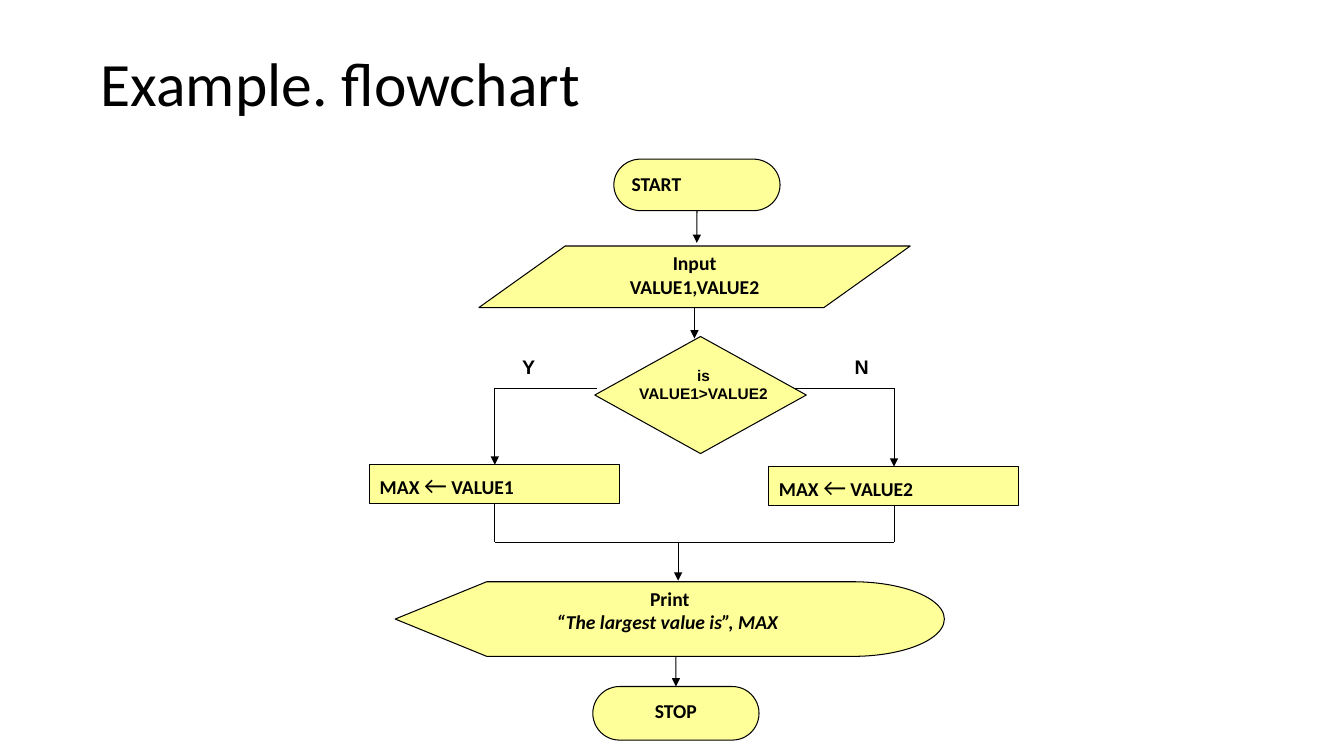
from lxml.etree import SubElement
from pptx import Presentation
from pptx.dml.color import RGBColor
from pptx.enum.shapes import MSO_CONNECTOR, MSO_SHAPE
from pptx.enum.text import MSO_ANCHOR, PP_ALIGN
from pptx.oxml.ns import qn
from pptx.util import Cm, Pt

COLORS = {"ink": "000000", "box": "FFFF99"}
LABEL = {"size": Pt(14), "name": "Calibri", "bold": True}
BRANCH_LABEL = {**LABEL, "name": "Arial"}
CONDITION = {**BRANCH_LABEL, "size": Pt(11)}
TITLE = {"size": Pt(44), "name": "Calibri", "bold": False}
ASSIGN = {"size": Pt(18), "bold": False}
TOP, BOTTOM = 0, 2


def color(name):
    return RGBColor.from_string(COLORS[name])


def write(shape, lines, font, align, anchor=MSO_ANCHOR.TOP, spacing=1.0):
    """Fill a shape with lines, each a list of (text, font changes) runs."""
    frame = shape.text_frame
    frame.word_wrap = True
    frame.vertical_anchor = anchor
    for index, runs in enumerate(lines):
        paragraph = frame.paragraphs[0] if index == 0 else frame.add_paragraph()
        paragraph.alignment = align
        paragraph.line_spacing = spacing
        for text, changes in runs:
            run = paragraph.add_run()
            run.text = text
            run.font.color.rgb = color("ink")
            for key, value in {**font, **changes}.items():
                setattr(run.font, key, value)


def plain(*texts):
    return [[(text, {})] for text in texts]


def add_text(slide, box, lines, font, align=PP_ALIGN.CENTER, **layout):
    shape = slide.shapes.add_textbox(*map(Cm, box))
    write(shape, lines, font, align, **layout)


def add_step(slide, kind, box, lines=(), align=PP_ALIGN.CENTER):
    shape = slide.shapes.add_shape(kind, *map(Cm, box))
    shape.shadow.inherit = False
    shape.fill.solid()
    shape.fill.fore_color.rgb = color("box")
    shape.line.color.rgb = color("ink")
    shape.line.width = Pt(0.75)
    write(shape, lines, LABEL, align)
    return shape


def add_assignment(slide, left, top, variable):
    runs = [("MAX ", {}), ("←", ASSIGN), (f" {variable}", {})]
    return add_step(slide, MSO_SHAPE.FLOWCHART_PROCESS, (left, top, 6.3, 0.97),
                    [runs], PP_ALIGN.LEFT)


def add_line(slide, start, end, arrow=False, source=None, target=None):
    """Draw a line, joined to the source's bottom and the target's top if given."""
    connector = slide.shapes.add_connector(
        MSO_CONNECTOR.STRAIGHT, *map(Cm, (*start, *end)))
    if source is not None:
        connector.begin_connect(source, BOTTOM)
    if target is not None:
        connector.end_connect(target, TOP)
    connector.line.color.rgb = color("ink")
    connector.line.width = Pt(0.75)
    if arrow:
        SubElement(connector.line._get_or_add_ln(), qn("a:tailEnd"), type="triangle")
    SubElement(connector._element.spPr, qn("a:effectLst"))


def main():
    presentation = Presentation()
    presentation.slide_width, presentation.slide_height = Cm(33.87), Cm(19.05)
    slide = presentation.slides.add_slide(presentation.slide_layouts[6])

    add_text(slide, (2.29, 0.33, 29.21, 3.68), plain("Example. flowchart"), TITLE,
             PP_ALIGN.LEFT, anchor=MSO_ANCHOR.MIDDLE, spacing=0.9)

    start = add_step(slide, MSO_SHAPE.FLOWCHART_TERMINATOR, (15.47, 4.01, 4.19, 1.3),
                     plain("START"), PP_ALIGN.LEFT)
    add_step(slide, MSO_SHAPE.FLOWCHART_DATA, (12.07, 6.2, 10.87, 1.55),
             plain("Input", "VALUE1,VALUE2"))
    add_step(slide, MSO_SHAPE.FLOWCHART_DECISION, (14.99, 8.48, 5.33, 2.95))
    yes_step = add_assignment(slide, 9.32, 11.71, "VALUE1")
    no_step = add_assignment(slide, 19.38, 11.76, "VALUE2")
    add_step(slide, MSO_SHAPE.FLOWCHART_DISPLAY, (9.96, 14.66, 13.84, 1.88),
             [[("Print", {})], [("“The largest value is”, MAX ", {"italic": True})]])
    stop = add_step(slide, MSO_SHAPE.FLOWCHART_TERMINATOR, (14.94, 17.3, 4.19, 1.35),
                    plain("STOP"))

    add_text(slide, (13.74, 9.09, 7.98, 1.63), plain("is", "VALUE1>VALUE2"), CONDITION)
    add_text(slide, (12.07, 8.81, 2.51, 0.97), plain("Y"), BRANCH_LABEL)
    add_text(slide, (21.29, 8.81, 2.51, 0.97), plain("N"), BRANCH_LABEL, PP_ALIGN.LEFT)

    add_line(slide, (17.56, 5.31), (17.56, 6.12), arrow=True, source=start)
    add_line(slide, (17.5, 7.75), (17.5, 8.53), arrow=True)
    branch_y, merge_y = 9.78, 13.67
    yes_x, no_x = 12.47, 22.53
    for step, x, side_x, top in ((yes_step, yes_x, 15.04, 11.71),
                                 (no_step, no_x, 20.02, 11.76)):
        add_line(slide, (side_x, branch_y), (x, branch_y))
        add_line(slide, (x, branch_y), (x, top), arrow=True, target=step)
        add_line(slide, (x, top + 0.97), (x, merge_y), source=step)
    add_line(slide, (yes_x, merge_y), (no_x, merge_y))
    add_line(slide, (17.09, merge_y), (17.09, 14.63), arrow=True)
    add_line(slide, (17.03, 16.54), (17.03, 17.3), arrow=True, target=stop)

    presentation.save("out.pptx")


if __name__ == "__main__":
    main()
